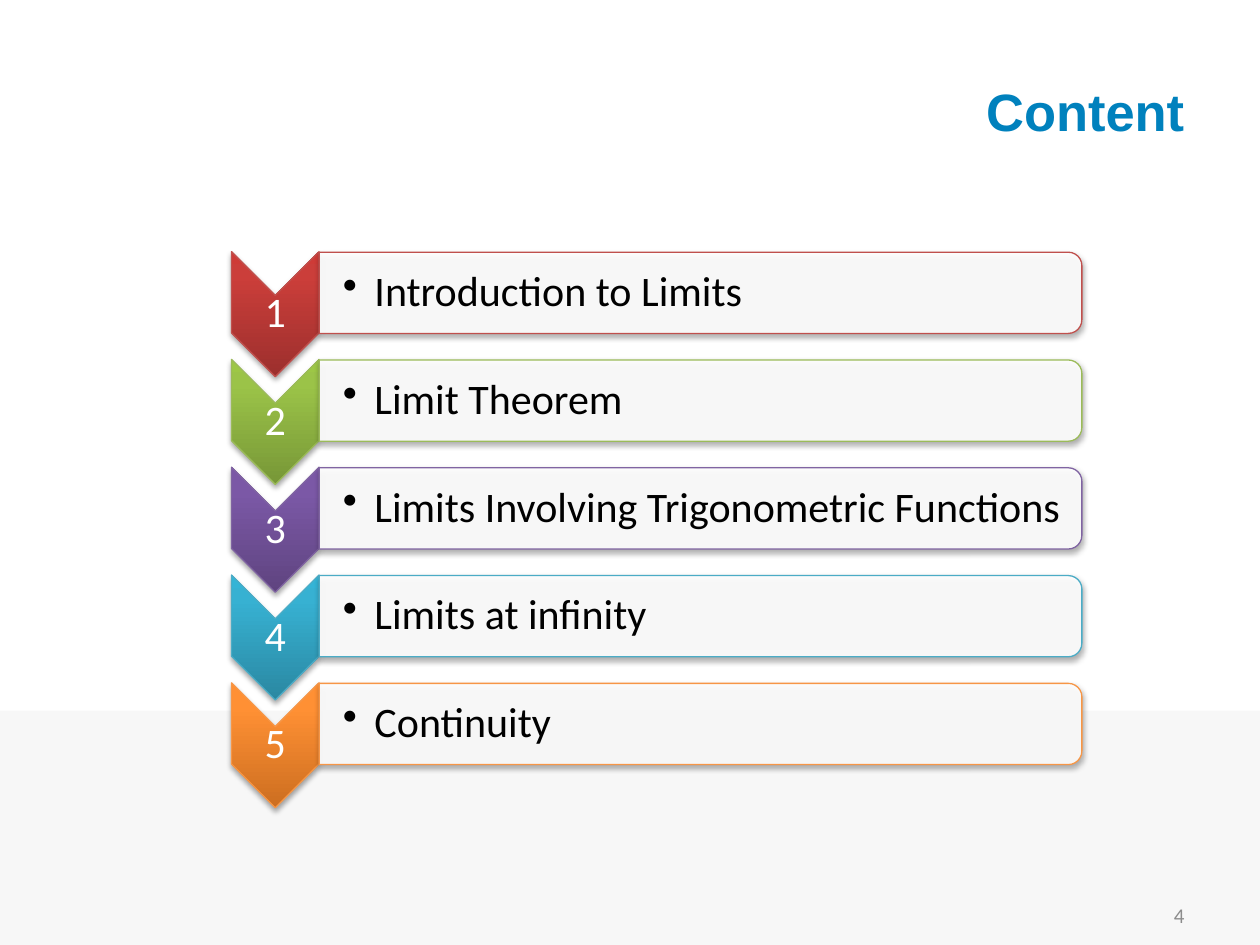
from lxml import etree
from pptx import Presentation
from pptx.dml.color import RGBColor
from pptx.enum.shapes import MSO_SHAPE
from pptx.enum.text import MSO_ANCHOR, PP_ALIGN
from pptx.oxml import parse_xml
from pptx.oxml.ns import nsdecls, qn
from pptx.util import Pt

RECTANGLE, CHEVRON = MSO_SHAPE.RECTANGLE, MSO_SHAPE.CHEVRON
PANEL = MSO_SHAPE.ROUND_2_SAME_RECTANGLE
MIDDLE = MSO_ANCHOR.MIDDLE
LEFT, CENTER, RIGHT = PP_ALIGN.LEFT, PP_ALIGN.CENTER, PP_ALIGN.RIGHT

THEME = {
    "band": "F7F7F7",
    "panel": "FFFFFF",
    "title": {"name": "Arial", "size": Pt(30), "bold": True, "color": "0081BD"},
    "topic": {"name": "Calibri", "size": Pt(24), "color": "000000"},
    "number": {"name": "Calibri", "size": Pt(24), "color": "FFFFFF"},
    "page": {"name": "Calibri", "size": Pt(12), "color": "8C8C8C"},
}

# Topic, outline colour, gradient colours from the chevron's tip upwards
TOPICS = [
    ("Introduction to Limits", "C0504D", ("9C2F2D", "CB3E3A", "CE3B37")),
    ("Limit Theorem", "9BBB59", ("779737", "9BC348", "9DC746")),
    ("Limits Involving Trigonometric Functions", "8064A2", ("5F4480", "7B58A6", "7C57A8")),
    ("Limits at infinity", "4BACC6", ("2A88A2", "37B1D2", "34B4D6")),
    ("Continuity", "F79646", ("CC6E20", "FF9034", "FF9136")),
]
GRADIENT_STOPS = (0, 80, 100)
FIRST_CENTER, ROW_STEP = 179.5, 61.6
PANEL_RISE = 12.2

SHADOW = f"""<a:effectLst {nsdecls("a")}>
<a:outerShdw blurRad="40000" dist="23000" dir="5400000" rotWithShape="0">
<a:srgbClr val="000000"><a:alpha val="35000"/></a:srgbClr></a:outerShdw></a:effectLst>"""


def write_text(box, text, style, align, margins=None):
    frame = box.text_frame
    frame.word_wrap = True
    frame.vertical_anchor = MIDDLE
    for side, value in (margins or {}).items():
        setattr(frame, f"margin_{side}", Pt(value))
    para = frame.paragraphs[0]
    para.alignment = align
    span = para.add_run()
    span.text = text
    for key, value in style.items():
        if key == "color":
            span.font.color.rgb = RGBColor.from_string(value)
        else:
            setattr(span.font, key, value)
    return para


def add_turned_shape(kind, center_x, center_y, length, breadth, line_color):
    """Add a shadowed shape turned a quarter clockwise about its centre."""
    shape = slide.shapes.add_shape(kind, Pt(center_x - length / 2), Pt(center_y - breadth / 2),
                                   Pt(length), Pt(breadth))
    shape.rotation = 90
    shape.line.color.rgb = RGBColor.from_string(line_color)
    shape.line.width = Pt(0.75)
    shape.fill.solid()
    shape.fill.fore_color.rgb = RGBColor.from_string(THEME["panel"])
    shape._element.spPr.append(parse_xml(SHADOW))
    return shape


deck = Presentation()
deck.slide_width, deck.slide_height = Pt(720), Pt(540)
slide = deck.slides.add_slide(deck.slide_layouts[5])

band = slide.shapes.add_shape(RECTANGLE, Pt(0), Pt(406), Pt(720), Pt(134))
band.shadow.inherit = False
band.fill.solid()
band.fill.fore_color.rgb = RGBColor.from_string(THEME["band"])
band.line.fill.background()

title = slide.shapes.title
title.left, title.top, title.width, title.height = Pt(36), Pt(18), Pt(648), Pt(90)
write_text(title, "Content", THEME["title"], RIGHT)

page_number = slide.shapes.add_textbox(Pt(516), Pt(508.5), Pt(168), Pt(28.8))
write_text(page_number, "4", THEME["page"], RIGHT)

tight = dict.fromkeys(("left", "top", "right", "bottom"), 1.2)
for row, (topic, line_color, gradient) in enumerate(TOPICS):
    center = FIRST_CENTER + row * ROW_STEP

    chevron = add_turned_shape(CHEVRON, 157.3, center, 71.4, 50, line_color)
    stops = "".join(f'<a:gs pos="{stop * 1000}"><a:srgbClr val="{color}"/></a:gs>'
                    for stop, color in zip(GRADIENT_STOPS, gradient))
    solid = chevron._element.spPr.find(qn("a:solidFill"))
    solid.getparent().replace(solid, parse_xml(
        f'<a:gradFill {nsdecls("a")} rotWithShape="0"><a:gsLst>{stops}</a:gsLst>'
        '<a:lin ang="16200000" scaled="0"/></a:gradFill>'))

    number = slide.shapes.add_textbox(Pt(132.3), Pt(center - 10.7), Pt(50), Pt(21.4))
    para = write_text(number, str(row + 1), THEME["number"], CENTER, tight)
    para.line_spacing = 0.9

    panel_center = center - PANEL_RISE
    panel = add_turned_shape(PANEL, 400.3, panel_center, 46.4, 435.8, line_color)
    panel_color = panel._element.spPr.find(qn("a:solidFill"))[0]
    etree.SubElement(panel_color, qn("a:alpha"), val="90000")

    label = slide.shapes.add_textbox(Pt(182.3), Pt(panel_center - 20.9), Pt(433.5), Pt(41.8))
    para = write_text(label, topic, THEME["topic"], LEFT, {**tight, "left": 13.7})
    para.line_spacing = 0.9
    para.level = 1
    properties = para._p.get_or_add_pPr()
    properties.set("marL", str(Pt(18)))
    properties.set("indent", str(Pt(-18)))
    etree.SubElement(properties, qn("a:buChar"), char="•")

deck.save("out.pptx")
